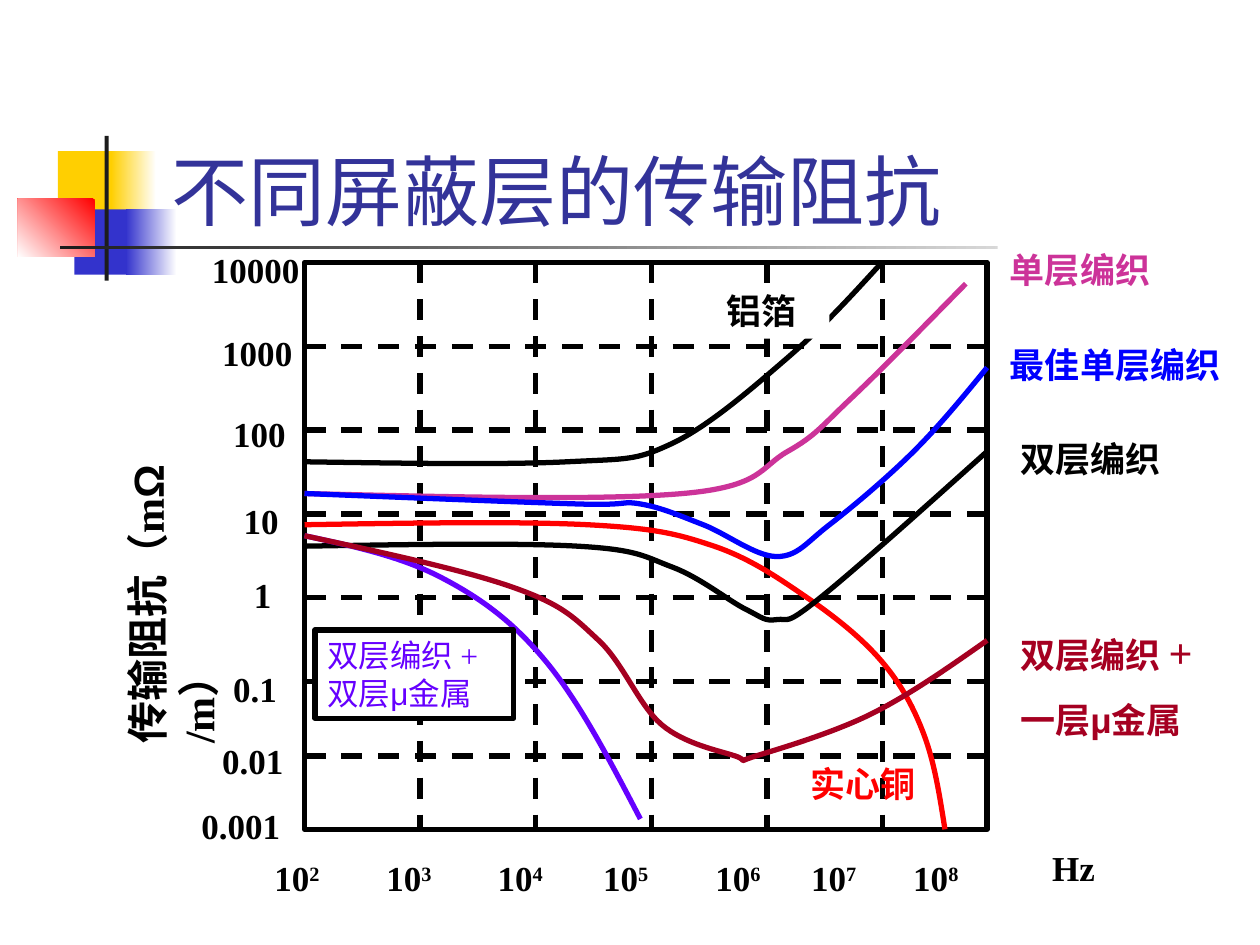
from lxml import etree
from pptx import Presentation
from pptx.dml.color import RGBColor
from pptx.enum.dml import MSO_LINE
from pptx.enum.shapes import MSO_CONNECTOR, MSO_SHAPE
from pptx.enum.text import MSO_ANCHOR, MSO_AUTO_SIZE, PP_ALIGN
from pptx.oxml.ns import qn
from pptx.util import Cm, Pt

RECTANGLE = MSO_SHAPE.RECTANGLE
STRAIGHT = MSO_CONNECTOR.STRAIGHT
DASH = MSO_LINE.DASH
TOP, BOTTOM = MSO_ANCHOR.TOP, MSO_ANCHOR.BOTTOM
LEFT = PP_ALIGN.LEFT
NO_FIT, GROW = MSO_AUTO_SIZE.NONE, MSO_AUTO_SIZE.SHAPE_TO_FIT_TEXT

WHITE = RGBColor(0xFF, 0xFF, 0xFF)
BLACK = RGBColor(0x00, 0x00, 0x00)
CHARCOAL = RGBColor(0x1C, 0x1C, 0x1C)
YELLOW = RGBColor(0xFF, 0xCF, 0x01)
INDIGO = RGBColor(0x33, 0x33, 0xCC)
NAVY = RGBColor(0x33, 0x33, 0x99)
RED = RGBColor(0xFF, 0x00, 0x00)
PINK = RGBColor(0xCC, 0x33, 0x99)
BLUE = RGBColor(0x00, 0x00, 0xFF)
VIOLET = RGBColor(0x66, 0x00, 0xFF)
MAROON = RGBColor(0xA5, 0x00, 0x21)

SERIF, SANS, TITLE_FONT = "Times New Roman", "Arial", "Cabin"
LINE_WIDTH = Pt(3)

PLOT_LEFT, PLOT_TOP, PLOT_WIDTH, PLOT_HEIGHT = 6.14, 5.29, 13.76, 11.43
PLOT_RIGHT, PLOT_BOTTOM = PLOT_LEFT + PLOT_WIDTH, PLOT_TOP + PLOT_HEIGHT
ROW_LINES = [PLOT_TOP + 1.69 * step for step in range(1, 6)] + [15.24]
COLUMN_LINES = [PLOT_LEFT + 2.33 * step for step in range(1, 6)]

DECORATIONS = [
    ((1.17, 3.05, 1.22, 1.32), [YELLOW], 0),
    ((2.24, 3.05, 0.91, 1.32), [WHITE, YELLOW], 180),
    ((1.5, 4.22, 1.17, 1.32), [INDIGO], 0),
    ((2.54, 4.22, 1.02, 1.32), [WHITE, INDIGO], 180),
    ((0.36, 4.01, 1.55, 1.17), [RED, WHITE], 225),
    ((2.11, 2.74, 0.08, 2.92), [CHARCOAL], 0),
    ((1.22, 4.95, 22.86, 0.08), [WHITE, CHARCOAL], 180),
]

CURVES = [
    (BLACK, [(6.14, 9.31), (11.43, 9.31), (13.55, 8.94), (15.88, 7.21), (17.78, 5.29)]),
    (PINK, [(6.14, 9.95), (13.76, 9.95), (15.88, 9.1), (17.15, 8.04), (19.47, 5.72)]),
    (BLUE, [(6.14, 9.95), (11.64, 10.16), (12.91, 10.16), (14.18, 10.58),
            (15.66, 11.22), (16.72, 10.58), (18.42, 9.1), (19.9, 7.41)]),
    (RED, [(6.14, 10.58), (11.85, 10.58), (14.39, 11.01), (16.3, 12.07),
           (17.78, 13.34), (18.63, 14.82), (19.05, 16.72)]),
    (BLACK, [(6.14, 11.01), (11.64, 11.01), (13.55, 11.43), (15.03, 12.28),
             (15.66, 12.49), (16.51, 12.07), (19.9, 9.1)]),
    (VIOLET, [(6.14, 10.8), (8.89, 11.64), (11.01, 13.34), (12.91, 16.51)]),
    (MAROON, [(6.14, 10.8), (10.37, 11.85), (12.07, 12.91), (13.34, 14.61),
              (14.82, 15.24), (15.24, 15.24), (17.57, 14.39), (19.9, 12.91)]),
]

IMPEDANCE_LABELS = [
    ("10000", 4.02, 4.88, 2.74), ("1000", 4.23, 6.56, 2.33), ("100", 4.45, 8.2, 1.9),
    ("10", 4.66, 9.95, 1.27), ("1", 4.87, 11.43, 0.85), ("0.1", 4.45, 13.34, 1.7),
    ("0.01", 4.23, 14.79, 2.33), ("0.001", 3.81, 16.09, 2.33),
]
FREQUENCY_TABS = [2.26, 4.5, 6.63, 8.89, 10.82, 12.88]

CURVE_LABELS = [
    ("铝箔", BLACK, (14.39, 5.72, 2.33, 1.11)),
    ("单层编织", PINK, (20.11, 4.88, 4.14, 1.11)),
    ("最佳单层编织", BLUE, (20.11, 6.81, 5.44, 1.11)),
    ("双层编织", BLACK, (20.32, 8.69, 4.14, 1.11)),
]


def lengths(values):
    return [Cm(value) for value in values]


def format_span(span, **values):
    font_values = {"size": Pt(20), "name": SERIF, "bold": True, **values}
    span.font.color.rgb = font_values.pop("color", BLACK)
    for name, value in font_values.items():
        setattr(span.font, name, value)


def add_span(para, text, **values):
    span = para.add_run()
    span.text = text
    format_span(span, **values)
    return span


def format_frame(frame, **values):
    for name, value in {"word_wrap": True, "auto_size": GROW, "vertical_anchor": TOP, **values}.items():
        setattr(frame, name, value)
    frame.paragraphs[0].alignment = LEFT


def add_text(page, place, spans):
    box = page.shapes.add_textbox(*lengths(place))
    format_frame(box.text_frame)
    for text, values in spans:
        add_span(box.text_frame.paragraphs[0], text, **values)
    return box


def add_rectangle(page, place, colors, angle=0, outlined=False):
    box = page.shapes.add_shape(RECTANGLE, *lengths(place))
    box.shadow.inherit = False
    if len(colors) == 1:
        box.fill.solid()
        box.fill.fore_color.rgb = colors[0]
    else:
        box.fill.gradient()
        box.fill.gradient_angle = angle
        for stop, color in zip(box.fill.gradient_stops, colors):
            stop.color.rgb = color
    if outlined:
        box.line.color.rgb = BLACK
        box.line.width = LINE_WIDTH
    else:
        box.line.fill.background()
    return box


def add_label(page, place, spans, outlined=False):
    box = add_rectangle(page, place, [WHITE], outlined=outlined)
    format_frame(box.text_frame)
    for text, values in spans:
        add_span(box.text_frame.paragraphs[0], text, **values)
    return box


def add_grid_line(page, ends):
    line = page.shapes.add_connector(STRAIGHT, *lengths(ends))
    line.line.color.rgb = BLACK
    line.line.width = LINE_WIDTH
    line.line.dash_style = DASH
    etree.SubElement(line._element.spPr, qn("a:effectLst"))


def between(start, end):
    return tuple((a + b) / 2 for a, b in zip(start, end))


def curve_points(knots):
    handles = []
    for before, knot, after in zip(knots, knots[1:], knots[2:]):
        reach = [(b - a) / 6 for a, b in zip(before, after)]
        handles += [tuple(k - r for k, r in zip(knot, reach)), knot,
                    tuple(k + r for k, r in zip(knot, reach))]
    return [between(knots[0], handles[0]), *handles, between(handles[-1], knots[-1]), knots[-1]]


def add_curve(page, color, knots):
    builder = page.shapes.build_freeform(*lengths(knots[0]))
    builder.add_line_segments([lengths(point) for point in curve_points(knots)], close=False)
    curve = builder.convert_to_shape()
    curve.shadow.inherit = False
    curve.fill.background()
    curve.line.color.rgb = color
    curve.line.width = LINE_WIDTH
    segments = list(curve._element.iter(qn("a:lnTo")))
    outline = segments[0].getparent()
    for start in range(0, len(segments), 3):
        bezier = etree.SubElement(outline, qn("a:cubicBezTo"))
        for segment in segments[start:start + 3]:
            bezier.append(segment[0])
            outline.remove(segment)


def add_title(page):
    title = page.shapes.title
    place = dict(zip(("left", "top", "width", "height"), lengths((3.2, 1.7, 21.64, 3.18))))
    for name, value in place.items():
        setattr(title, name, value)
    format_frame(title.text_frame, auto_size=NO_FIT, vertical_anchor=BOTTOM)
    add_span(title.text_frame.paragraphs[0], "不同屏蔽层的传输阻抗",
             size=Pt(44), name=TITLE_FONT, bold=False, color=NAVY)


def add_frequency_axis(page):
    box = add_text(page, (5.28, 17.15, 15.67, 1.11), [])
    para = box.text_frame.paragraphs[0]
    tabs = etree.SubElement(para._p.get_or_add_pPr(), qn("a:tabLst"))
    for position in FREQUENCY_TABS:
        etree.SubElement(tabs, qn("a:tab"), pos=str(Cm(position)), algn="l")
    for exponent in range(2, 9):
        add_span(para, "10" if exponent == 2 else "\t10")
        power = add_span(para, str(exponent))
        power._r.get_or_add_rPr().set("baseline", "30000")
    add_text(page, (20.96, 16.94, 1.47, 1.11), [("Hz", {})])


def add_impedance_axis(page):
    for text, left, top, width in IMPEDANCE_LABELS:
        add_text(page, (left, top, width, 1.11), [(text, {})])
    large = {"size": Pt(24)}
    name = add_text(page, (-0.33, 10.29, 7.62, 2.29),
                    [("传输阻抗（m", large), ("Ω", {**large, "name": SANS}), (" /m）", large)])
    name.rotation = 270


def add_curve_labels(page):
    for text, color, place in CURVE_LABELS:
        add_label(page, place, [(text, {"color": color})])
    maroon = {"color": MAROON}
    box = add_label(page, (20.32, 12.5, 4.93, 2.57),
                    [("双层编织 ", maroon), ("+", {**maroon, "size": Pt(24)})])
    para = box.text_frame.add_paragraph()
    para.alignment = LEFT
    para.space_before = Pt(12.5)
    for text, font in (("一层", SERIF), ("μ", SANS), ("金属", SERIF)):
        add_span(para, text, name=font, **maroon)
    violet = {"color": VIOLET, "size": Pt(18), "bold": False}
    add_label(page, (6.35, 12.7, 4.01, 1.78),
              [("双层编织 + 双层", violet), ("μ", {**violet, "name": SANS}), ("金属", violet)],
              outlined=True)
    add_text(page, (16.08, 15.24, 3.1, 1.11), [("实心铜", {"color": RED})])


def main():
    deck = Presentation()
    deck.slide_width, deck.slide_height = Cm(25.4), Cm(19.05)
    page = deck.slides.add_slide(deck.slide_layouts[5])
    for place, colors, angle in DECORATIONS:
        add_rectangle(page, place, colors, angle)
    add_title(page)
    add_rectangle(page, (PLOT_LEFT, PLOT_TOP, PLOT_WIDTH, PLOT_HEIGHT), [WHITE], outlined=True)
    for y in ROW_LINES:
        add_grid_line(page, (PLOT_LEFT, y, PLOT_RIGHT, y))
    for x in COLUMN_LINES:
        add_grid_line(page, (x, PLOT_TOP, x, PLOT_BOTTOM))
    add_frequency_axis(page)
    add_impedance_axis(page)
    for color, knots in CURVES:
        add_curve(page, color, knots)
    add_curve_labels(page)
    deck.save("out.pptx")


if __name__ == "__main__":
    main()
